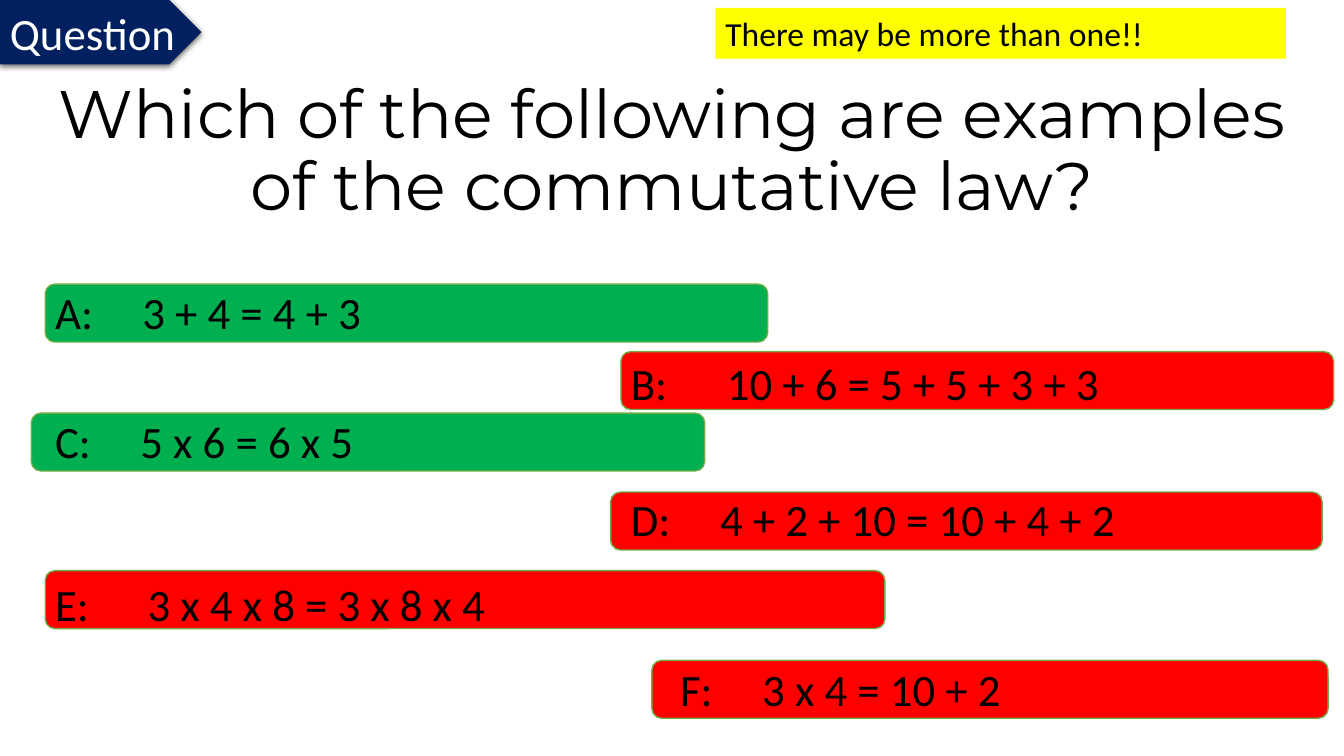
from lxml import etree
from pptx import Presentation
from pptx.dml.color import RGBColor
from pptx.enum.shapes import MSO_SHAPE
from pptx.enum.text import MSO_ANCHOR, PP_ALIGN
from pptx.oxml.ns import qn
from pptx.util import Cm, Pt

BLACK = RGBColor(0, 0, 0)
WHITE = RGBColor(255, 255, 255)
NAVY = RGBColor(0, 0x20, 0x60)
YELLOW = RGBColor(255, 255, 0)
GREEN = RGBColor(0, 0xB0, 0x50)
RED = RGBColor(255, 0, 0)
EDGE = RGBColor(0x70, 0xAD, 0x47)

LEFT, CENTER = PP_ALIGN.LEFT, PP_ALIGN.CENTER
TOP, MIDDLE = MSO_ANCHOR.TOP, MSO_ANCHOR.MIDDLE
RECT, ROUND, ARROW = MSO_SHAPE.RECTANGLE, MSO_SHAPE.ROUNDED_RECTANGLE, MSO_SHAPE.PENTAGON

TITLE = "Which of the following are examples of the commutative law?"
TAG = "Question"
HINT = "There may be more than one!!"
BAR_H, TEXT_H = 1.46, 1.62

# letter, sum, fill, bar (left, top, width), text (left, top, width), tab; in cm
ANSWERS = [
    ("A:", "3 + 4 = 4 + 3", GREEN, (1.14, 7.16, 18.21), (1.14, 7.06, 18.36), 2.2),
    ("C:", "5 x 6 = 6 x 5", GREEN, (0.79, 10.41, 16.97), (1.14, 10.31, 21.34), 2.15),
    ("B:", "10 + 6 = 5 + 5 + 3 + 3", RED, (15.65, 8.86, 17.96), (15.65, 8.84, 18.03), 2.42),
    ("D:", "4 + 2 + 10 = 10 + 4 + 2", RED, (15.39, 12.4, 17.93), (15.65, 12.27, 16.61), 2.25),
    ("E:", "3 x 4 x 8 = 3 x 8 x 4", RED, (1.14, 14.38, 21.16), (1.14, 14.4, 21.16), 2.33),
    ("F:", "3 x 4 = 10 + 2", RED, (16.43, 16.64, 17.04), (16.89, 16.56, 16.99), 2.07),
]

deck = Presentation()
deck.slide_width, deck.slide_height = Cm(33.87), Cm(19.05)
slide = deck.slides.add_slide(deck.slide_layouts[6])


def add_box(kind, x, y, w, h, fill, line=None):
    box = slide.shapes.add_shape(kind, Cm(x), Cm(y), Cm(w), Cm(h))
    box.shadow.inherit = False
    box.fill.solid()
    box.fill.fore_color.rgb = fill
    if line is None:
        box.line.fill.background()
    else:
        box.line.color.rgb = line
        box.line.width = Pt(1)
    return box


def add_area(x, y, w, h):
    return slide.shapes.add_textbox(Cm(x), Cm(y), Cm(w), Cm(h))


def write(shape, text, size=32, font="Calibri", color=BLACK, align=LEFT,
          anchor=TOP, wrap=True, spacing=None, tab=None):
    frame = shape.text_frame
    frame.word_wrap = wrap
    frame.vertical_anchor = anchor
    para = frame.paragraphs[0]
    para.text = text
    para.alignment = align
    if spacing:
        para.line_spacing = spacing
    if tab:
        stops = etree.SubElement(para._p.get_or_add_pPr(), qn("a:tabLst"))
        etree.SubElement(stops, qn("a:tab"), pos=str(Cm(tab)), algn="l")
    face = para.runs[0].font
    face.name, face.size, face.color.rgb = font, Pt(size), color


def add_shadow(shape, blur, dist, alpha):
    """Cast a black shadow straight down; lengths in points, alpha in percent."""
    effects = shape._element.spPr.find(qn("a:effectLst"))
    cast = etree.SubElement(effects, qn("a:outerShdw"), blurRad=str(Pt(blur)),
                            dist=str(Pt(dist)), dir="5400000", rotWithShape="0")
    tint = etree.SubElement(cast, qn("a:srgbClr"), val=str(BLACK))
    etree.SubElement(tint, qn("a:alpha"), val=str(alpha * 1000))


write(add_area(0.2, 1.9, 33.48, 3.68), TITLE, size=48, font="Montserrat",
      align=CENTER, spacing=0.9)

tag = add_box(ARROW, 0, 0, 5.08, TEXT_H, NAVY)
add_shadow(tag, 4.5, 1.5, 63)
write(tag, TAG, color=WHITE, anchor=MIDDLE, wrap=False)

for letter, total, fill, bar, area, tab in ANSWERS:
    add_box(ROUND, *bar, BAR_H, fill, EDGE)
    write(add_area(*area, TEXT_H), f"{letter}\t{total}", tab=tab)

hint = add_box(RECT, 18.03, 0.2, 14.38, 1.28, YELLOW)
write(hint, HINT, size=24, anchor=MIDDLE)

deck.save("out.pptx")
